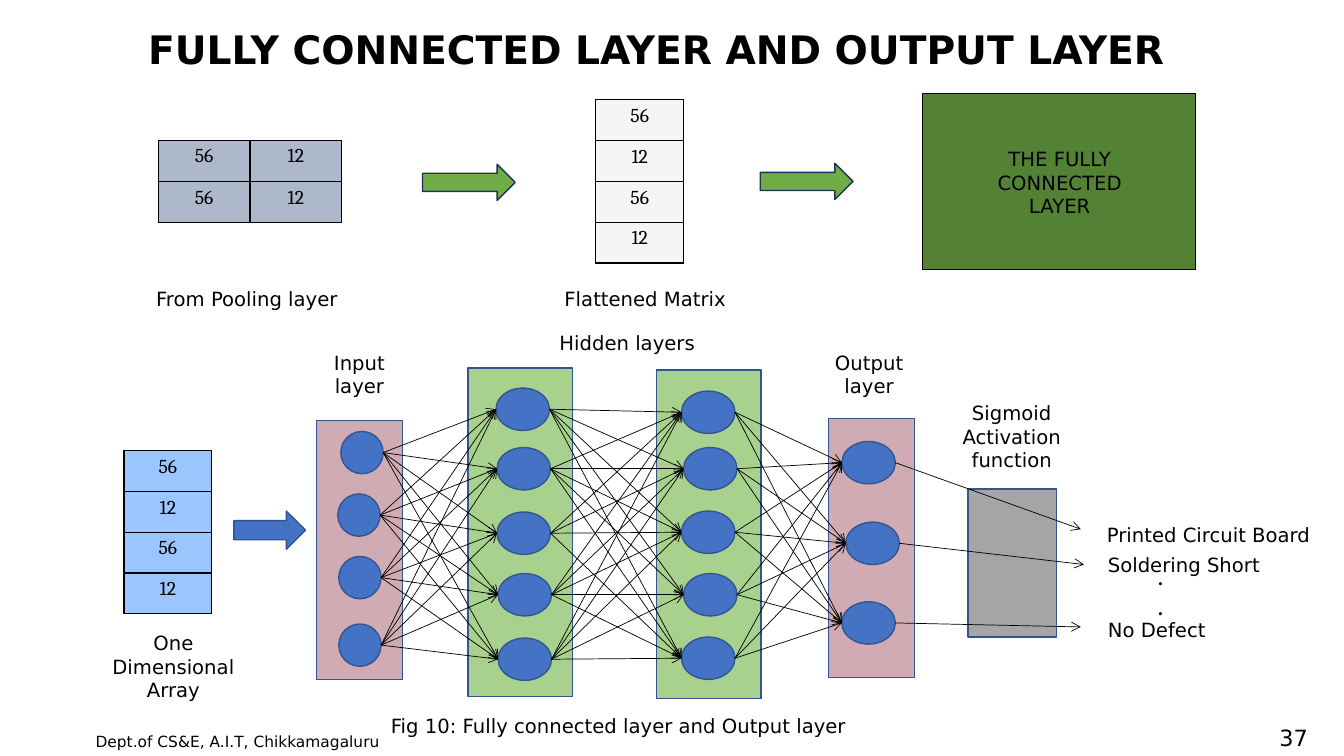
from itertools import product

from lxml.etree import SubElement
from pptx import Presentation
from pptx.dml.color import RGBColor
from pptx.enum.shapes import MSO_CONNECTOR as Connector, MSO_SHAPE as Shape
from pptx.enum.text import MSO_ANCHOR as Anchor, MSO_AUTO_SIZE as AutoSize, PP_ALIGN as Align
from pptx.oxml.ns import qn
from pptx.util import Inches, Pt

# Content; boxes are left, top, width, height in inches
SLIDE_SIZE = (13.33, 7.5)
FONT = "DejaVu Sans"
BLACK, NAVY, BLUE, GREEN, PINK = "000000", "325491", "4472C4", "A9D18E", "D1ABB3"
TITLE = ("FULLY CONNECTED LAYER AND OUTPUT LAYER", (1.37, 0.2, 10.83, 0.57))

FLAT = [["56"], ["12"], ["56"], ["12"]]
TABLES = [  # values, box, fill
    ([["56", "12"], ["56", "12"]], (1.57, 1.39, 1.82, 0.82), "ADB9CA"),
    (FLAT, (5.91, 0.99, 0.87, 1.62), "F5F5F5"),
    (FLAT, (1.23, 4.47, 0.87, 1.62), "9BC5FE"),
]
BLOCKS = [  # preset, box, fill, line colour, line width
    (Shape.RECTANGLE, (9.15, 0.93, 2.71, 1.74), "548235", BLACK, 0.75),
    (Shape.RIGHT_ARROW, (4.19, 1.63, 0.92, 0.36), "70AD47", "1E3256", 1),
    (Shape.RIGHT_ARROW, (7.54, 1.62, 0.92, 0.36), "70AD47", "1E3256", 1),
    (Shape.RECTANGLE, (9.6, 4.85, 0.88, 1.47), "A5A5A5", NAVY, 1),
    (Shape.RIGHT_ARROW, (2.32, 5.07, 0.71, 0.38), BLUE, NAVY, 1),
]
LAYERS = [  # panel box, panel fill, node width, left and top of each node
    ((3.14, 4.17, 0.85, 2.57), PINK, 0.42,
     [(3.38, 4.28), (3.35, 4.9), (3.36, 5.52), (3.36, 6.19)]),
    ((4.64, 3.65, 1.04, 3.26), GREEN, 0.53,
     [(4.92, 3.85), (4.93, 4.44), (4.93, 5.08), (4.94, 5.69), (4.94, 6.33)]),
    ((6.51, 3.67, 1.04, 3.26), GREEN, 0.53,
     [(6.76, 3.88), (6.78, 4.44), (6.76, 5.07), (6.78, 5.69), (6.76, 6.32)]),
    ((8.22, 4.15, 0.85, 2.57), PINK, 0.53,
     [(8.35, 4.38), (8.39, 5.18), (8.35, 5.97)]),
]
NODE_HEIGHT = 0.42
UNLINKED = {(1, 2, 3)}  # layer, node, node of the next layer
RESULT_ENDS = [(10.72, 5.25), (10.75, 5.6), (10.72, 6.22)]

LABELS = [  # lines, box, alignment, size
    (["THE FULLY", "CONNECTED LAYER"], (9.57, 1.41, 1.88, 0.81), Align.CENTER, 14),
    (["From Pooling layer"], (1.45, 2.8, 2.71, 0.34), Align.LEFT, 14),
    (["Flattened Matrix"], (5.5, 2.8, 2.01, 0.34), Align.LEFT, 14),
    (["Hidden layers"], (5.45, 3.23, 1.81, 0.34), Align.LEFT, 14),
    (["Input", "layer"], (3.17, 3.43, 0.79, 0.57), Align.CENTER, 14),
    (["Output", "layer"], (8.03, 3.43, 1.18, 0.57), Align.CENTER, 14),
    (["Sigmoid", "Activation", "function"], (9.37, 3.93, 1.33, 0.81), Align.CENTER, 14),
    (["One", "Dimensional", "Array"], (1, 6.21, 1.44, 0.81), Align.CENTER, 14),
    (["Printed Circuit Board"], (10.88, 5.14, 2.46, 0.34), Align.LEFT, 14),
    (["Soldering Short"], (10.89, 5.44, 2.1, 0.34), Align.LEFT, 14),
    (["No Defect"], (10.89, 6.08, 2.1, 0.34), Align.LEFT, 14),
    (["Fig 10: Fully connected layer and Output layer"],
     (2.86, 7.03, 6.55, 0.34), Align.CENTER, 14),
    (["Dept.of CS&E, A.I.T, Chikkamagaluru"], (0.85, 7.21, 3.14, 0.29), Align.LEFT, 11),
]
DOTS = ([".", "."], (11.38, 5.51, 0.3, 0.71), Align.LEFT, 18)
PAGE_NUMBER = (["37"], (12.57, 7.16, 0.5, 0.32), Align.RIGHT, 16)


def color(value):
    return RGBColor.from_string(value)


def inches(values):
    return [Inches(value) for value in values]


def write(text_frame, lines, align, size, font=FONT, bold=False):
    text_frame.text = "\n".join(lines)
    for paragraph in text_frame.paragraphs:
        paragraph.alignment = align
        for run in paragraph.runs:
            run.font.name, run.font.size, run.font.bold = font, Pt(size), bold
            run.font.color.rgb = color(BLACK)


def add_label(lines, box, align, size, font=FONT):
    text_frame = slide.shapes.add_textbox(*inches(box)).text_frame
    text_frame.word_wrap = True
    text_frame.auto_size = AutoSize.SHAPE_TO_FIT_TEXT
    write(text_frame, lines, align, size, font)
    return text_frame


def add_block(preset, box, fill, line, width=1):
    shape = slide.shapes.add_shape(preset, *inches(box))
    shape.shadow.inherit = False
    shape.fill.solid()
    shape.fill.fore_color.rgb = color(fill)
    shape.line.color.rgb = color(line)
    shape.line.width = Pt(width)


def add_link(start, end):
    link = slide.shapes.add_connector(Connector.STRAIGHT, *inches(start + end))
    link.line.color.rgb = color(BLACK)
    link.line.width = Pt(0.5)
    SubElement(link.line._get_or_add_ln(), qn("a:tailEnd"), type="arrow")
    SubElement(link._element.spPr, qn("a:effectLst"))


def add_border(cell):
    properties = cell._tc.get_or_add_tcPr()
    for side in ("a:lnL", "a:lnR", "a:lnT", "a:lnB"):
        border = SubElement(properties, qn(side), w=str(Pt(1)))
        SubElement(SubElement(border, qn("a:solidFill")), qn("a:srgbClr"), val=BLACK)


def add_grid(values, box, fill):
    rows, columns = len(values), len(values[0])
    table = slide.shapes.add_table(rows, columns, *inches(box)).table
    table.first_row = table.horz_banding = False
    for row, column in product(range(rows), range(columns)):
        cell = table.cell(row, column)
        add_border(cell)
        cell.fill.solid()
        cell.fill.fore_color.rgb = color(fill)
        write(cell.text_frame, [values[row][column]], Align.CENTER, 14, "Cambria")


presentation = Presentation()
presentation.slide_width, presentation.slide_height = inches(SLIDE_SIZE)
slide = presentation.slides.add_slide(presentation.slide_layouts[5])

# Title
title = slide.shapes.title
title.left, title.top, title.width, title.height = inches(TITLE[1])
title.text_frame.vertical_anchor = Anchor.TOP
write(title.text_frame, [TITLE[0]], Align.LEFT, 28, bold=True)

# Matrices, block arrows and boxes
for grid in TABLES:
    add_grid(*grid)
for block in BLOCKS:
    add_block(*block)

# Network panels and nodes
for panel, fill, node_width, nodes in LAYERS:
    add_block(Shape.RECTANGLE, panel, fill, NAVY)
    for node in nodes:
        add_block(Shape.OVAL, node + (node_width, NODE_HEIGHT), BLUE, NAVY)

# Links run from the right of each node to the left of the next layer's nodes
inputs = [[(x, y + NODE_HEIGHT / 2) for x, y in nodes] for _, _, _, nodes in LAYERS]
outputs = [[(x + layer[2], y) for x, y in points] for layer, points in zip(LAYERS, inputs)]
for index in range(len(LAYERS) - 1):
    for (i, start), (j, end) in product(enumerate(outputs[index]), enumerate(inputs[index + 1])):
        if (index, i, j) not in UNLINKED:
            add_link(start, end)
for start, end in zip(outputs[-1], RESULT_ENDS):
    add_link(start, end)

# Labels and page number
for label in LABELS:
    add_label(*label)
add_label(*DOTS, font="Calibri")
page_number = add_label(*PAGE_NUMBER)
page_number.auto_size = AutoSize.NONE
page_number.vertical_anchor = Anchor.MIDDLE

presentation.save("out.pptx")
